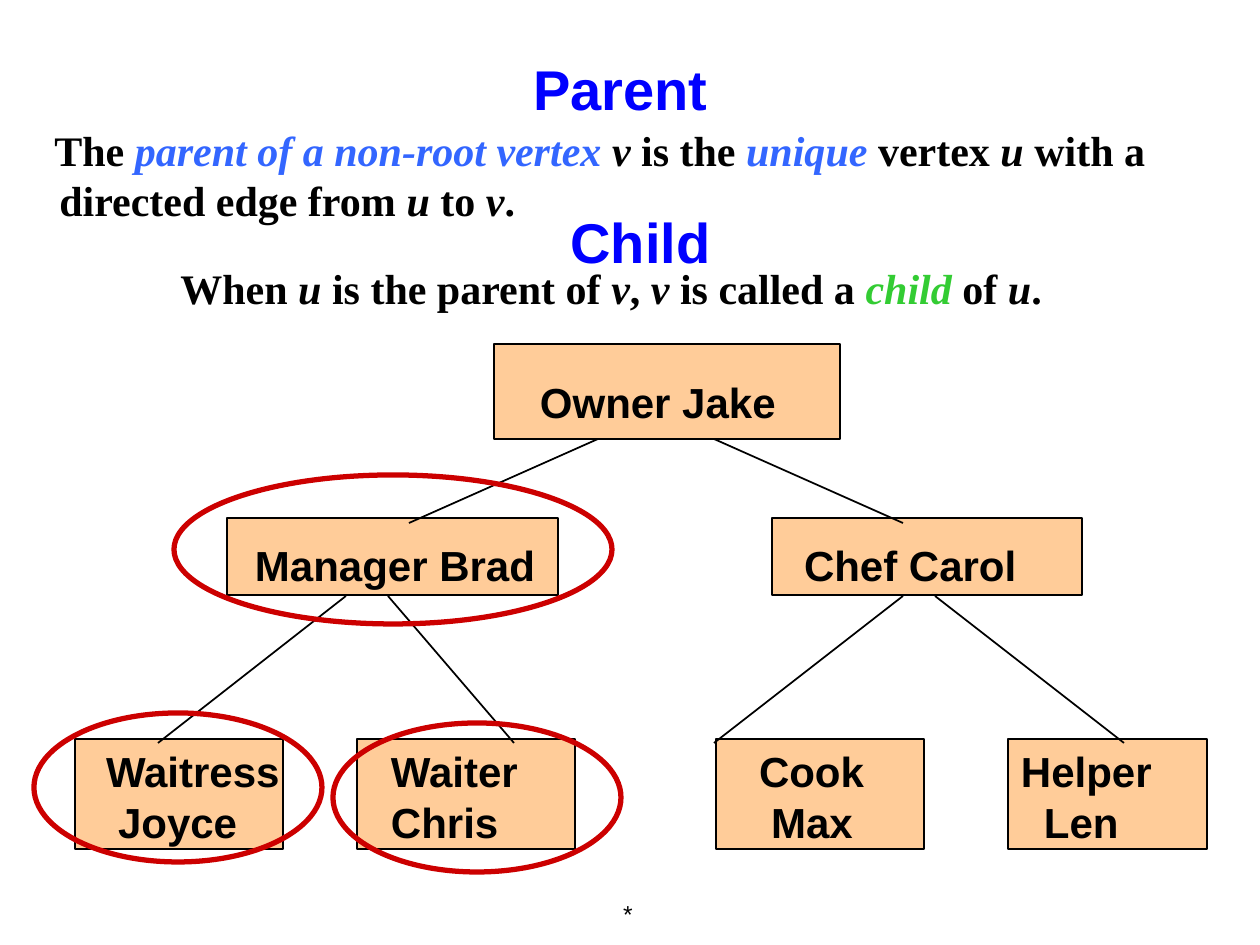
from dataclasses import dataclass

from lxml import etree
from pptx import Presentation
from pptx.dml.color import RGBColor
from pptx.enum.shapes import MSO_CONNECTOR, MSO_SHAPE
from pptx.enum.text import MSO_ANCHOR, PP_ALIGN
from pptx.oxml.ns import qn
from pptx.util import Pt

EMU_PER_PX = 914400 / 126


def px(length):
    return round(length * EMU_PER_PX)


@dataclass(frozen=True)
class Theme:
    ink: RGBColor = RGBColor(0x00, 0x00, 0x00)
    heading: RGBColor = RGBColor(0x00, 0x00, 0xFF)
    term: RGBColor = RGBColor(0x33, 0x66, 0xFF)
    child: RGBColor = RGBColor(0x33, 0xCC, 0x33)
    node: RGBColor = RGBColor(0xFF, 0xCC, 0x99)
    ring: RGBColor = RGBColor(0xCC, 0x00, 0x00)
    sans: str = "Arial"
    serif: str = "Times New Roman"
    heading_size: int = 32
    body_size: int = 24
    footer_size: int = 14
    edge_width: int = 1
    ring_width: int = 3


class TreeSlide:
    def __init__(self, slide, theme):
        self.slide = slide
        self.theme = theme

    def style(self, run, size, color, face, bold=True, italic=False):
        font = run.font
        font.size, font.name = Pt(size), face
        font.bold, font.italic = bold, italic
        font.color.rgb = color

    def textbox(self, left, top, width, height):
        box = self.slide.shapes.add_textbox(px(left), px(top), px(width), px(height))
        box.text_frame.word_wrap = True
        return box

    def format_heading(self, shape, text):
        frame = shape.text_frame
        frame.text = text
        frame.vertical_anchor = MSO_ANCHOR.BOTTOM
        paragraph = frame.paragraphs[0]
        paragraph.alignment = PP_ALIGN.CENTER
        self.style(paragraph.runs[0], self.theme.heading_size, self.theme.heading, self.theme.sans)

    def title(self, text, left, top, width, height):
        title = self.slide.shapes.title
        title.left, title.top = px(left), px(top)
        title.width, title.height = px(width), px(height)
        self.format_heading(title, text)

    def heading(self, text, *bounds):
        self.format_heading(self.textbox(*bounds), text)

    def definition(self, pieces, bounds, margin=0, indent=0):
        paragraph = self.textbox(*bounds).text_frame.paragraphs[0]
        paragraph.space_before = Pt(6)
        properties = paragraph._p.get_or_add_pPr()
        properties.set("marL", str(px(margin)))
        properties.set("indent", str(px(indent)))
        for text, color in pieces:
            run = paragraph.add_run()
            run.text = text
            self.style(run, self.theme.body_size, color or self.theme.ink,
                       self.theme.serif, italic=color is not None)

    def footer(self, text, *bounds):
        frame = self.textbox(*bounds).text_frame
        frame.text = text
        frame.vertical_anchor = MSO_ANCHOR.MIDDLE
        paragraph = frame.paragraphs[0]
        paragraph.alignment = PP_ALIGN.RIGHT
        self.style(paragraph.runs[0], self.theme.footer_size, self.theme.ink,
                   self.theme.sans, bold=False)

    def node(self, label, left, top, width, height, inset_left, inset_top, second_indent=0):
        node = self.slide.shapes.add_shape(
            MSO_SHAPE.RECTANGLE, px(left), px(top), px(width), px(height))
        node.shadow.inherit = False
        node.fill.solid()
        node.fill.fore_color.rgb = self.theme.node
        node.line.color.rgb = self.theme.ink
        node.line.width = Pt(self.theme.edge_width)
        frame = node.text_frame
        frame.text = label
        frame.word_wrap = True
        frame.vertical_anchor = MSO_ANCHOR.TOP
        frame.margin_left, frame.margin_top = px(inset_left), px(inset_top)
        frame.margin_right = frame.margin_bottom = 0
        for index, paragraph in enumerate(frame.paragraphs):
            paragraph.alignment = PP_ALIGN.LEFT
            paragraph._p.get_or_add_pPr().set("marL", str(px(index * second_indent)))
            self.style(paragraph.runs[0], self.theme.body_size, self.theme.ink, self.theme.sans)

    def edge(self, start_x, start_y, end_x, end_y):
        edge = self.slide.shapes.add_connector(
            MSO_CONNECTOR.STRAIGHT, px(start_x), px(start_y), px(end_x), px(end_y))
        edge.line.color.rgb = self.theme.ink
        edge.line.width = Pt(self.theme.edge_width)
        etree.SubElement(edge._element.spPr, qn("a:effectLst"))

    def ring(self, left, top, width, height):
        ring = self.slide.shapes.add_shape(
            MSO_SHAPE.OVAL, px(left), px(top), px(width), px(height))
        ring.shadow.inherit = False
        ring.fill.background()
        ring.line.color.rgb = self.theme.ring
        ring.line.width = Pt(self.theme.ring_width)


def main():
    presentation = Presentation()
    presentation.slide_width, presentation.slide_height = px(1260), px(945)
    theme = Theme()
    tree = TreeSlide(presentation.slides.add_slide(presentation.slide_layouts[5]), theme)
    ink = theme.ink

    tree.footer("*", 561, 882, 84, 63)
    tree.title("Parent", 39, 39, 1163, 89)
    tree.definition(
        [("The ", None), ("parent of a non-root vertex ", theme.term), ("v", ink),
         (" is the ", None), ("unique", theme.term), (" vertex ", None), ("u", ink),
         (" with a directed edge from ", None), ("u", ink), (" to ", None),
         ("v", ink), (".", None)],
        (0, 118, 1191, 139), margin=47, indent=-5)
    tree.heading("Child", 59, 186, 1163, 95)
    tree.definition(
        [("When ", None), ("u", ink), (" is the parent of ", None), ("v", ink),
         (", ", None), ("v", ink), (" is called a ", None), ("child ", theme.child),
         ("of ", None), ("u", ink), (".", None)],
        (168, 256, 985, 73))

    tree.node("Owner Jake", 494, 344, 346, 95, 46, 32)
    for label, left, width, inset in (("Manager Brad", 227, 331, 28), ("Chef Carol", 772, 310, 32)):
        tree.node(label, left, 518, width, 77, inset, 22)
    for label, left, width, inset, second_indent in (
            ("Waitress\nJoyce", 75, 208, 31, 12),
            ("Waiter\nChris", 357, 218, 34, 0),
            ("Cook\nMax", 716, 208, 43, 12),
            ("Helper\nLen", 1008, 199, 13, 23)):
        tree.node(label, left, 739, width, 110, inset, 7, second_indent)

    for parent_x, child_x in ((598, 409), (714, 903)):
        tree.edge(parent_x, 439, child_x, 523)
    for parent_x, child_x in ((346, 158), (903, 714), (388, 514), (935, 1124)):
        tree.edge(parent_x, 596, child_x, 743)

    for left, top, width in ((174, 475, 438), (34, 713, 288), (333, 723, 288)):
        tree.ring(left, top, width, 149)

    presentation.save("out.pptx")


if __name__ == "__main__":
    main()
